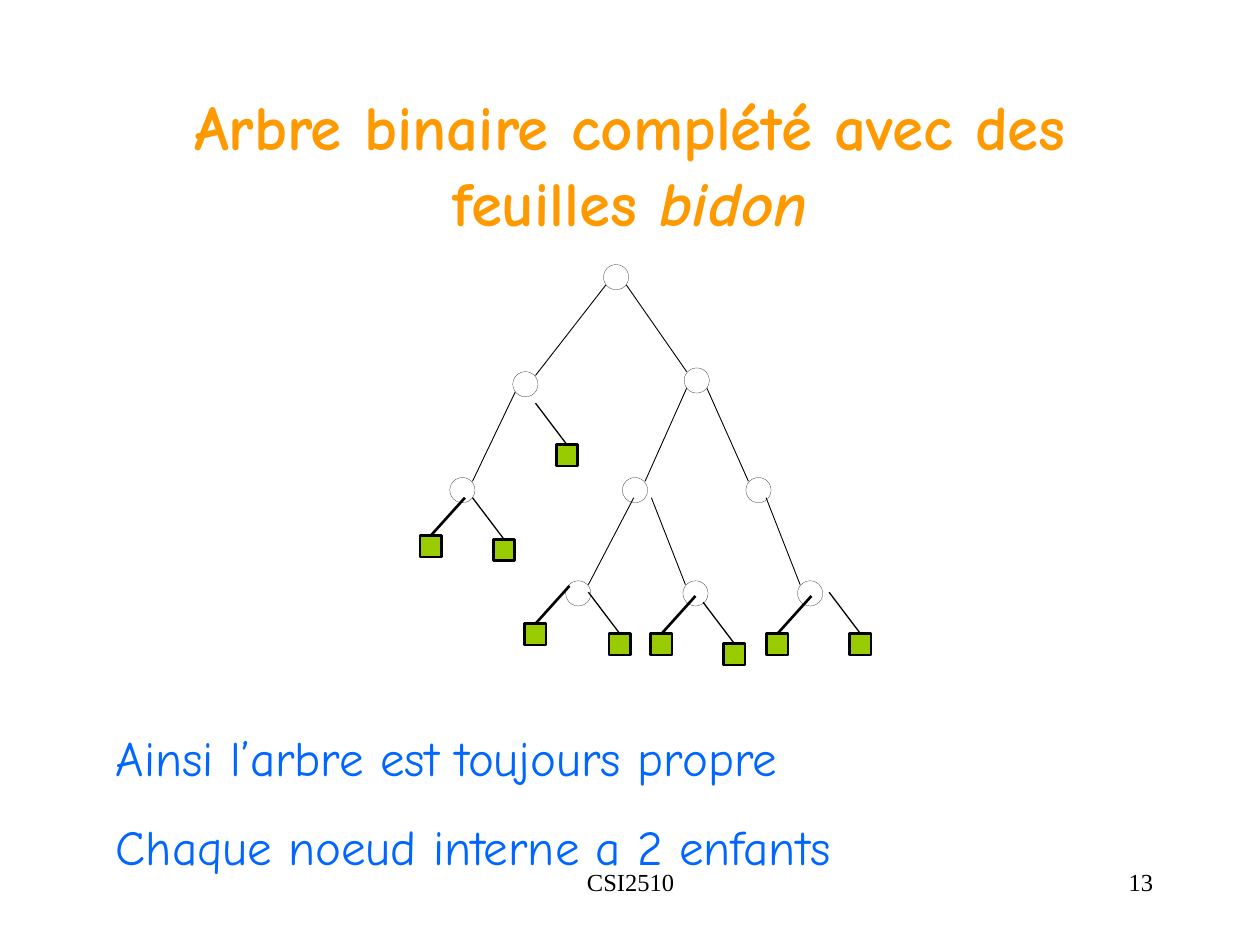
from dataclasses import dataclass
from typing import Optional

from lxml.etree import SubElement
from pptx import Presentation
from pptx.dml.color import RGBColor
from pptx.enum.shapes import MSO_CONNECTOR, MSO_SHAPE
from pptx.enum.text import MSO_ANCHOR, MSO_AUTO_SIZE, PP_ALIGN
from pptx.oxml.ns import qn
from pptx.util import Inches, Pt


@dataclass(frozen=True)
class Theme:
    heading: RGBColor = RGBColor(0xFF, 0x99, 0x00)
    body: RGBColor = RGBColor(0x00, 0x66, 0xFF)
    ink: RGBColor = RGBColor(0x00, 0x00, 0x00)
    node: RGBColor = RGBColor(0xFF, 0xFF, 0xFF)
    leaf: RGBColor = RGBColor(0x99, 0xCC, 0x00)
    main_font: str = "Comic Neue"
    footer_font: str = "Times New Roman"
    heading_size: float = 36
    body_size: float = 28
    footer_size: float = 14
    node_line: float = 0.11
    edge_line: float = 0.5
    left_leaf_line: float = 1.5
    right_leaf_line: float = 0.75


@dataclass(frozen=True)
class Node:
    """Internal node: its centre, and where its edge leaves the parent."""
    x: float
    y: float
    parent: Optional["Node"] = None
    start_dx: float = 0


@dataclass(frozen=True)
class Leaf:
    """Dummy leaf: the middle of its top side, and its side of the parent."""
    x: float
    y: float
    is_left: bool


THEME = Theme()
NODE_SIZE = 0.2
LEAF_SIZE = 0.17
EDGE_DX, EDGE_DY = 0.08, 0.07

# Tree content, level by level
root = Node(4.89, 2.2)
left = Node(4.17, 3.05, root, -EDGE_DX)
right = Node(5.53, 3.02, root, EDGE_DX)
left_left = Node(3.67, 3.89, left, -EDGE_DX)
right_left = Node(5.04, 3.89, right, -EDGE_DX)
right_right = Node(6.02, 3.89, right, EDGE_DX)
UPPER_LEVELS = [root, left, right, left_left, right_left, right_right]
BOTTOM_LEVEL = [
    Node(4.59, 4.71, right_left, -0.01),
    Node(5.52, 4.71, right_left, 0.13),
    Node(6.43, 4.71, right_right, 0.06),
]
LEAVES = [
    Leaf(3.42, 4.25, True),
    Leaf(4.25, 4.95, True),
    Leaf(5.25, 5.03, True),
    Leaf(6.17, 5.03, True),
    Leaf(4.0, 4.28, False),
    Leaf(4.92, 5.03, False),
    Leaf(6.83, 5.03, False),
    Leaf(5.83, 5.11, False),
    Leaf(4.5, 3.53, False),
]


def place(shape, x: float, y: float, width: float, height: float) -> None:
    shape.left, shape.top = Inches(x), Inches(y)
    shape.width, shape.height = Inches(width), Inches(height)


def style_font(font, name: str, size: float, color: RGBColor) -> None:
    font.name, font.size = name, Pt(size)
    font.color.rgb = color


def add_edge(slide, x1: float, y1: float, x2: float, y2: float, weight: float):
    edge = slide.shapes.add_connector(
        MSO_CONNECTOR.STRAIGHT, Inches(x1), Inches(y1), Inches(x2), Inches(y2))
    edge.line.color.rgb = THEME.ink
    edge.line.width = Pt(weight)
    SubElement(edge.element.spPr, qn("a:effectLst"))
    return edge


def add_mark(slide, kind: MSO_SHAPE, x: float, y: float, size: float,
             fill: RGBColor, weight: float):
    mark = slide.shapes.add_shape(
        kind, Inches(x), Inches(y), Inches(size), Inches(size))
    mark.shadow.inherit = False
    mark.fill.solid()
    mark.fill.fore_color.rgb = fill
    mark.line.color.rgb = THEME.ink
    mark.line.width = Pt(weight)
    return mark


def add_level(slide, nodes: list[Node]) -> None:
    """Draw the edges first, so that the nodes cover their ends."""
    for node in nodes:
        if node.parent:
            end_dx = EDGE_DX if node.start_dx < 0 else -EDGE_DX
            add_edge(slide, node.parent.x + node.start_dx,
                     node.parent.y + EDGE_DY - 0.01,
                     node.x + end_dx, node.y - EDGE_DY, THEME.edge_line)
    for node in nodes:
        add_mark(slide, MSO_SHAPE.OVAL, node.x - NODE_SIZE / 2,
                 node.y - NODE_SIZE / 2, NODE_SIZE, THEME.node,
                 THEME.node_line)


def add_leaf(slide, leaf: Leaf) -> None:
    square = add_mark(slide, MSO_SHAPE.RECTANGLE, leaf.x - LEAF_SIZE / 2,
                      leaf.y, LEAF_SIZE, THEME.leaf, THEME.left_leaf_line)
    if leaf.is_left:
        dx, dy, weight = 0.27, -0.3, THEME.left_leaf_line
    else:
        dx, dy, weight = -0.25, -0.33, THEME.right_leaf_line
    edge = add_edge(slide, leaf.x + dx, leaf.y + dy, leaf.x, leaf.y, weight)
    edge.end_connect(square, 0)


def add_footer(slide, text: str, x: float, width: float,
               align: PP_ALIGN) -> None:
    footer = slide.shapes.add_textbox(
        Inches(x), Inches(6.83), Inches(width), Inches(0.5))
    footer.text_frame.word_wrap = True
    footer.text_frame.text = text
    paragraph = footer.text_frame.paragraphs[0]
    paragraph.alignment = align
    style_font(paragraph.runs[0].font, THEME.footer_font, THEME.footer_size,
               THEME.ink)


def fill_title(title) -> None:
    place(title, 0.75, 0.67, 8.5, 1.25)
    frame = title.text_frame
    frame.auto_size = MSO_AUTO_SIZE.NONE
    frame.vertical_anchor = MSO_ANCHOR.MIDDLE
    paragraph = frame.paragraphs[0]
    paragraph.alignment = PP_ALIGN.CENTER
    for text, italic in (("Arbre binaire complété avec des feuilles ", False),
                         ("bidon", True)):
        run = paragraph.add_run()
        run.text = text
        style_font(run.font, THEME.main_font, THEME.heading_size,
                   THEME.heading)
        run.font.bold, run.font.italic = True, italic


def fill_body(body) -> None:
    place(body, 0.82, 5.72, 8.03, 1.28)
    frame = body.text_frame
    frame.auto_size = MSO_AUTO_SIZE.NONE
    frame.text = ("Ainsi l’arbre est toujours propre\n"
                  "Chaque noeud interne a 2 enfants")
    for index, paragraph in enumerate(frame.paragraphs):
        paragraph.space_before = Pt(17.5 if index else 0)
        properties = paragraph._p.get_or_add_pPr()
        properties.set("marL", "0")
        properties.set("indent", "0")
        SubElement(properties, qn("a:buNone"))
        style_font(paragraph.runs[0].font, THEME.main_font, THEME.body_size,
                   THEME.body)


def main() -> None:
    deck = Presentation()
    deck.slide_width, deck.slide_height = Inches(10), Inches(7.5)
    slide = deck.slides.add_slide(deck.slide_layouts[1])

    # Title, conclusions and footer
    fill_title(slide.shapes.title)
    fill_body(slide.placeholders[1])
    add_footer(slide, "CSI2510", 3.42, 3.17, PP_ALIGN.CENTER)
    add_footer(slide, "13", 7.17, 2.08, PP_ALIGN.RIGHT)

    # Binary tree, completed with its dummy leaves
    add_level(slide, UPPER_LEVELS)
    add_level(slide, BOTTOM_LEVEL)
    for leaf in LEAVES:
        add_leaf(slide, leaf)

    deck.save("out.pptx")


if __name__ == "__main__":
    main()
